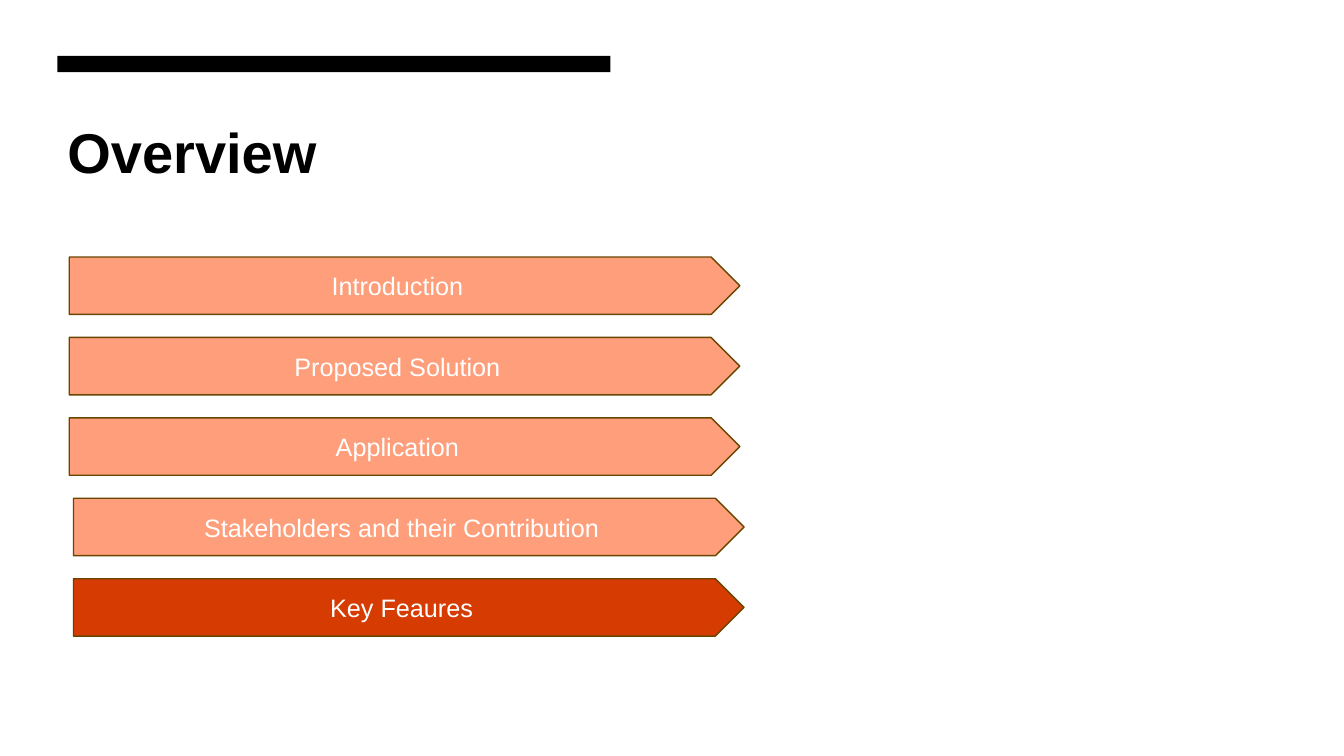
"""Build the Overview agenda slide with five arrow-shaped entries."""
from pptx import Presentation
from pptx.dml.color import RGBColor
from pptx.enum import shapes, text
from pptx.util import Pt

COLORS = {
    "black": "000000",
    "white": "FFFFFF",
    "peach": "FE9E7A",
    "orange": "D63B01",
    "outline": "674600",
}
AGENDA = [
    ("Introduction", 49.5, "peach"),
    ("Proposed Solution", 49.5, "peach"),
    ("Application", 49.5, "peach"),
    ("Stakeholders and their Contribution", 52.5, "peach"),
    ("Key Feaures", 52.5, "orange"),
]
FIRST_TOP = 183.6
STEP = 57.45


def color(name):
    return RGBColor.from_string(COLORS[name])


def add_block(slide, kind, left, top, width, height, fill):
    shape = slide.shapes.add_shape(kind, Pt(left), Pt(top), Pt(width), Pt(height))
    shape.shadow.inherit = False
    shape.fill.solid()
    shape.fill.fore_color.rgb = color(fill)
    shape.line.fill.background()
    return shape


presentation = Presentation()
presentation.slide_width = Pt(960)
presentation.slide_height = Pt(540)
slide = presentation.slides.add_slide(presentation.slide_layouts[5])

title = slide.shapes.title
title.left, title.top, title.width, title.height = Pt(41), Pt(76.3), Pt(502), Pt(384)
title.text_frame.text = "Overview"
title.text_frame.vertical_anchor = text.MSO_ANCHOR.TOP
title.text_frame.auto_size = text.MSO_AUTO_SIZE.NONE
title.text_frame.margin_top = Pt(7.5)
paragraph = title.text_frame.paragraphs[0]
paragraph.alignment = text.PP_ALIGN.LEFT
paragraph.font.name = "Arial"
paragraph.font.size = Pt(40)
paragraph.font.bold = True
paragraph.font.color.rgb = color("black")

add_block(slide, shapes.MSO_SHAPE.RECTANGLE, 41, 40, 395, 11.6, "black")

for row, (label, left, fill) in enumerate(AGENDA):
    arrow = add_block(slide, shapes.MSO_SHAPE.PENTAGON, left, FIRST_TOP + row * STEP, 479, 41, fill)
    arrow.line.color.rgb = color("outline")
    arrow.line.width = Pt(1)
    arrow.text_frame.text = label
    arrow.text_frame.word_wrap = True
    arrow.text_frame.vertical_anchor = text.MSO_ANCHOR.MIDDLE
    paragraph = arrow.text_frame.paragraphs[0]
    paragraph.alignment = text.PP_ALIGN.CENTER
    paragraph.font.name = "Arial"
    paragraph.font.size = Pt(18)
    paragraph.font.color.rgb = color("white")

presentation.save("out.pptx")
